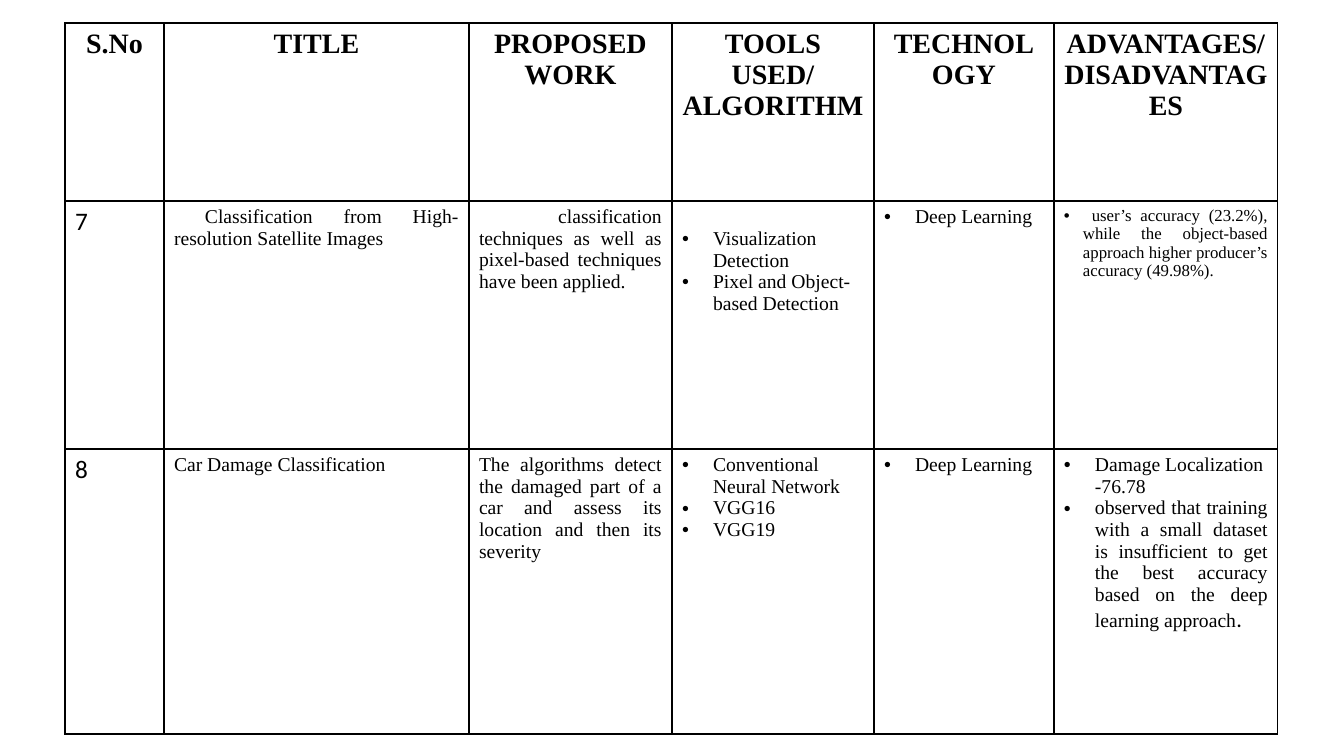
from lxml import etree
from pptx import Presentation, util as u
from pptx.dml import color
from pptx.enum import text
from pptx.oxml import ns

SERIF, SANS = "Times New Roman", "Calibri"
BLACK = "000000"
CENTER, JUSTIFY = text.PP_ALIGN.CENTER, text.PP_ALIGN.JUSTIFY
COLUMNS = [99, 305, 203, 202, 180, 224]
ROWS = [178, 248, 285]
HEADERS = [["S.No"], ["TITLE"], ["PROPOSED WORK"], ["TOOLS USED/", "ALGORITHM"],
           ["TECHNOLOGY"], ["ADVANTAGES/ DISADVANTAGES"]]


def px(n):
    """Turn pixels into EMU."""
    return u.Emu(round(n * 914400 / 100.8))


def rgb(value):
    """Turn a hex string into a colour."""
    return color.RGBColor.from_string(value)


def add_run(p, content, size=14, font=SERIF, bold=False):
    """Add a formatted run to a paragraph."""
    r = p.add_run()
    r.text = content
    r.font.size, r.font.name, r.font.bold = u.Pt(size), font, bold
    r.font.color.rgb = rgb(BLACK)


def add_text(tf, content, align=None, indent=0, **font):
    """Write a paragraph, with a hanging bullet when indented."""
    p = tf.paragraphs[0] if not tf.text else tf.add_paragraph()
    p.alignment = align
    if indent:
        pPr = p._p.get_or_add_pPr()
        pPr.set("marL", str(px(indent)))
        pPr.set("indent", str(-px(indent)))
        etree.SubElement(pPr, ns.qn("a:buFont")).set("typeface", "Arial")
        etree.SubElement(pPr, ns.qn("a:buChar")).set("char", "•")
    add_run(p, content, **font)
    return p


def add_bullet(tf, content, align=None, indent=31, **font):
    """Write a bulleted paragraph."""
    return add_text(tf, content, align, indent, **font)


def style_cell(cell):
    """Clear the fill and draw thin black borders."""
    cell.fill.background()
    tcPr = cell._tc.get_or_add_tcPr()
    for i, side in enumerate(("lnL", "lnR", "lnT", "lnB")):
        ln = etree.Element(ns.qn("a:" + side), w=str(u.Pt(1)))
        fill = etree.SubElement(ln, ns.qn("a:solidFill"))
        etree.SubElement(fill, ns.qn("a:srgbClr")).set("val", BLACK)
        tcPr.insert(i, ln)


def add_grid(s, left, top):
    """Add the bordered table and return it."""
    table = s.shapes.add_table(len(ROWS), len(COLUMNS), px(left), px(top),
                               px(sum(COLUMNS)), px(sum(ROWS))).table
    table.first_row = table.horz_banding = False
    for column, width in zip(table.columns, COLUMNS):
        column.width = px(width)
    for row, height in zip(table.rows, ROWS):
        row.height = px(height)
    for cell in table.iter_cells():
        style_cell(cell)
    return table


def fill_headers(cells):
    """Write the bold column titles."""
    for cell, lines in zip(cells, HEADERS):
        for line in lines:
            add_text(cell.text_frame, line, CENTER, size=20, bold=True)


def fill_satellite(cells):
    """Write the satellite image paper."""
    number, title, work, tools, technology, results = [c.text_frame for c in cells]
    add_text(number, "7", size=18, font=SANS)
    add_text(title, " Classification from High-resolution Satellite Images", JUSTIFY)
    add_text(work, " classification techniques as well as pixel-based techniques "
             "have been applied.", JUSTIFY)
    cells[3].margin_top = px(27)
    add_bullet(tools, "Visualization Detection")
    add_bullet(tools, "Pixel and Object-based Detection")
    add_bullet(technology, "Deep Learning")
    add_bullet(results, " user’s accuracy (23.2%), while the object-based approach "
               "higher producer’s accuracy (49.98%).", JUSTIFY, 19, size=12)


def fill_car_damage(cells):
    """Write the car damage paper."""
    number, title, work, tools, technology, results = [c.text_frame for c in cells]
    add_text(number, "8", size=18, font=SANS)
    add_text(title, "Car Damage Classification")
    add_text(work, "The algorithms detect the damaged part of a car and assess its "
             "location and then its severity", JUSTIFY)
    for tool in ("Conventional Neural Network", "VGG16", "VGG19"):
        add_bullet(tools, tool, JUSTIFY)
    add_bullet(technology, "Deep Learning")
    add_bullet(results, "Damage Localization -76.78")
    p = add_bullet(results, "observed that training with a small dataset is insufficient "
                   "to get the best accuracy based on the deep learning approach", JUSTIFY)
    add_run(p, ".", size=16, font=SANS)


def add_survey(s, left, top):
    """Place the literature survey table and its rows."""
    table = add_grid(s, left, top)
    for row, fill in zip(table.rows, (fill_headers, fill_satellite, fill_car_damage)):
        fill(list(row.cells))


prs = Presentation()
prs.slide_width, prs.slide_height = px(1344), px(756)
add_survey(prs.slides.add_slide(prs.slide_layouts[6]), 65, 23)
prs.save("out.pptx")
